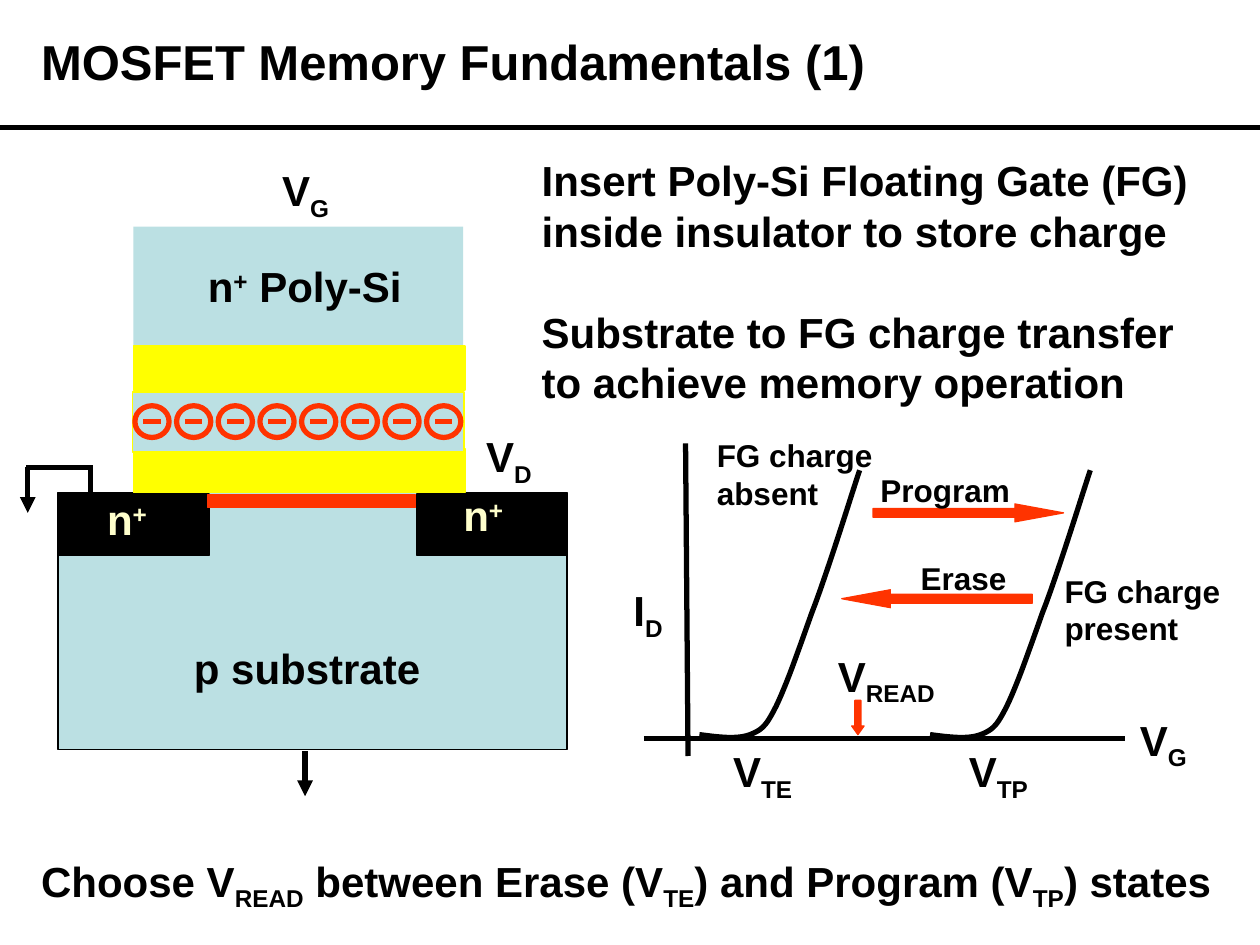
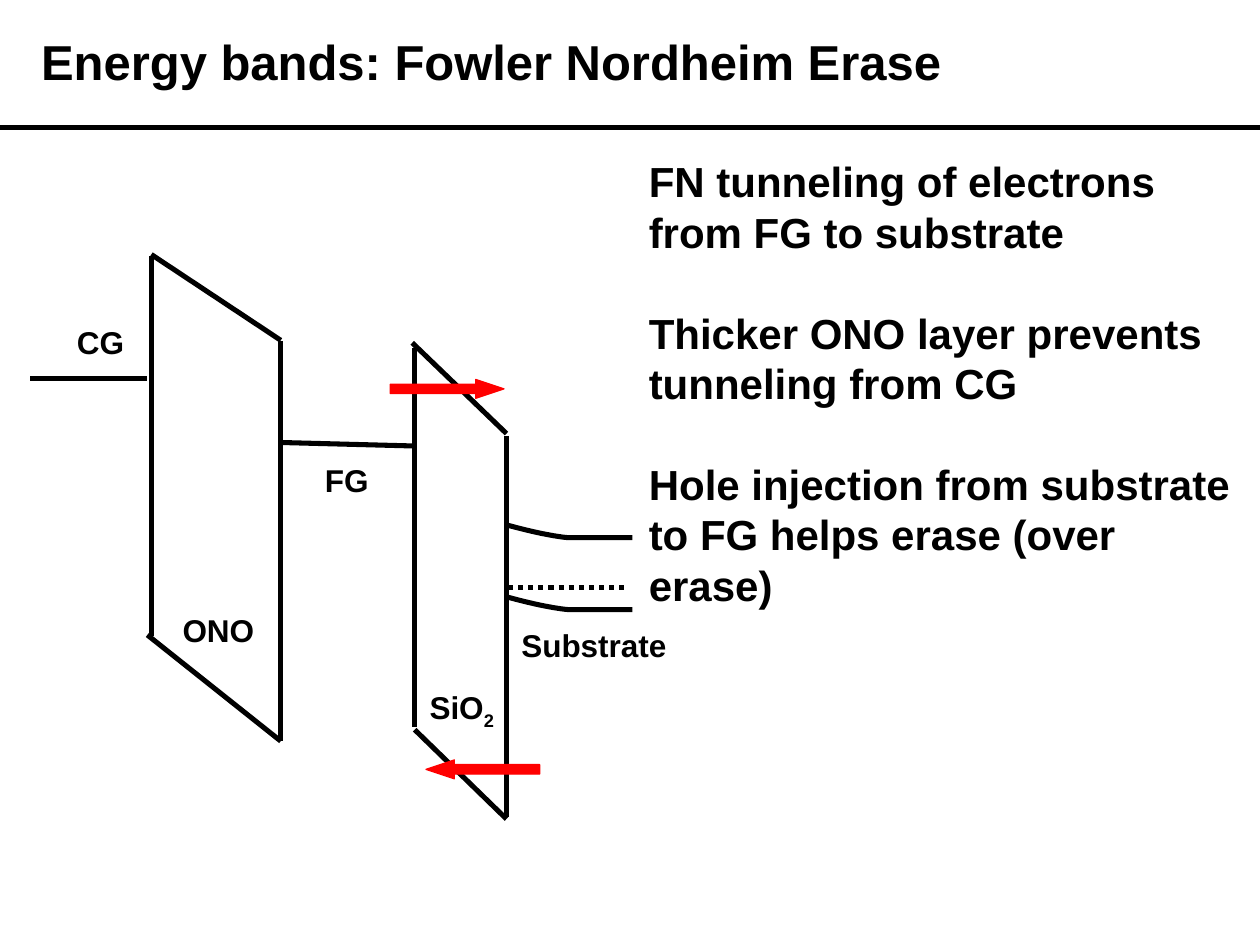
from dataclasses import dataclass

from pptx import Presentation
from pptx.dml.color import RGBColor
from pptx.enum.dml import MSO_LINE
from pptx.enum.shapes import MSO_CONNECTOR, MSO_SHAPE
from pptx.oxml.ns import qn
from pptx.util import Cm, Pt
from lxml import etree

RECT, OVAL = MSO_SHAPE.RECTANGLE, MSO_SHAPE.OVAL
RIGHT, LEFT, DOWN = MSO_SHAPE.RIGHT_ARROW, MSO_SHAPE.LEFT_ARROW, MSO_SHAPE.DOWN_ARROW
STRAIGHT, DOTTED = MSO_CONNECTOR.STRAIGHT, MSO_LINE.ROUND_DOT

FONT = "Arial"
BLACK = RGBColor(0x00, 0x00, 0x00)
SILICON = RGBColor(0xBB, 0xE0, 0xE3)
OXIDE = RGBColor(0xFF, 0xFF, 0x00)
CREAM = RGBColor(0xFF, 0xFF, 0xCC)
ORANGE = RGBColor(0xFF, 0x33, 0x00)
RED = RGBColor(0xFF, 0x00, 0x00)

SUPERSCRIPT, SUBSCRIPT = "30000", "-25000"
PARAGRAPH_GAP = 28.8
AXIS_WIDTH, BAND_WIDTH = 3, 2.89


# All positions and sizes below are in centimetres
@dataclass
class Label:
    """Text; parts between bars are lowered, or raised if they are a plus."""
    text: str
    left: float
    top: float
    width: float
    height: float = 1.42
    size: float = 24
    color: RGBColor = BLACK


@dataclass
class Block:
    left: float
    top: float
    width: float
    height: float
    fill: RGBColor | None
    line: RGBColor | None = None
    line_width: float = 1
    kind: MSO_SHAPE = RECT
    adjust: tuple[float, ...] = ()


@dataclass
class Line:
    x1: float
    y1: float
    x2: float
    y2: float
    width: float = AXIS_WIDTH
    color: RGBColor = BLACK
    arrow: bool = False
    dotted: bool = False


@dataclass
class Curve:
    """Cubic segments, each given by two handles and an end from the start."""
    left: float
    top: float
    segments: tuple
    width: float = AXIS_WIDTH


Item = Label | Block | Line | Curve


def draw_label(slide, label: Label) -> None:
    s = slide.shapes.add_textbox(Cm(label.left), Cm(label.top),
                                 Cm(label.width), Cm(label.height))
    tf = s.text_frame
    tf.word_wrap = True
    for i, text in enumerate(label.text.split("\n")):
        p = tf.add_paragraph() if i else tf.paragraphs[0]
        if i:
            p.space_before = Pt(PARAGRAPH_GAP)
        p.font.name, p.font.size, p.font.bold = FONT, Pt(label.size), True
        p.font.color.rgb = label.color
        for j, part in enumerate(text.split("|")):
            if not part:
                continue
            r = p.add_run()
            r.text = part
            if j % 2:
                shift = SUPERSCRIPT if part == "+" else SUBSCRIPT
                r._r.get_or_add_rPr().set("baseline", shift)


def draw_block(slide, block: Block) -> None:
    s = slide.shapes.add_shape(block.kind, Cm(block.left), Cm(block.top),
                               Cm(block.width), Cm(block.height))
    s.shadow.inherit = False
    for i, value in enumerate(block.adjust):
        s.adjustments[i] = value
    if block.fill is None:
        s.fill.background()
    else:
        s.fill.solid()
        s.fill.fore_color.rgb = block.fill
    if block.line is None:
        s.line.fill.background()
    else:
        s.line.color.rgb = block.line
        s.line.width = Pt(block.line_width)


def draw_line(slide, line: Line) -> None:
    s = slide.shapes.add_connector(STRAIGHT, Cm(line.x1), Cm(line.y1),
                                   Cm(line.x2), Cm(line.y2))
    s.line.color.rgb = line.color
    s.line.width = Pt(line.width)
    if line.dotted:
        s.line.dash_style = DOTTED
    if line.arrow:
        etree.SubElement(s.line._get_or_add_ln(), qn("a:tailEnd"), type="triangle")
    etree.SubElement(s._element.spPr, qn("a:effectLst"))


def draw_curve(slide, curve: Curve, steps: int = 12) -> None:
    points, start = [], (0, 0)
    for a, b, end in curve.segments:
        for t in (k / steps for k in range(1, steps + 1)):
            u = 1 - t
            x, y = (u**3 * p0 + 3 * u * u * t * p1 + 3 * u * t * t * p2 + t**3 * p3
                    for p0, p1, p2, p3 in zip(start, a, b, end))
            points.append((Cm(curve.left + x), Cm(curve.top + y)))
        start = end
    builder = slide.shapes.build_freeform(Cm(curve.left), Cm(curve.top))
    builder.add_line_segments(points, close=False)
    s = builder.convert_to_shape()
    s.shadow.inherit = False
    s.fill.background()
    s.line.color.rgb = BLACK
    s.line.width = Pt(curve.width)


DRAWERS = {Label: draw_label, Block: draw_block, Line: draw_line, Curve: draw_curve}


def add_slide(prs, title: str, items: list[Item]) -> None:
    slide = prs.slides.add_slide(prs.slide_layouts[6])
    header = [Line(0, 2.57, 25.4, 2.57),
              Label(title, 0.58, 0.51, 22.5, 1.45, size=28)]
    for item in header + items:
        DRAWERS[type(item)](slide, item)


def small(text: str, left: float, top: float, width: float,
          height: float = 1.02) -> Label:
    return Label(text, left, top, width, height, size=18)


def arrow(kind: MSO_SHAPE, left: float, top: float, width: float, height: float,
          color: RGBColor, head: float) -> Block:
    return Block(left, top, width, height, color, color, 0.75, kind, (0.5, head))


def electron(index: int) -> list[Item]:
    left, top, width, height = 2.72 + 0.84 * index, 8.18, 0.69, 0.64
    y = top + height / 2
    return [Block(left, top, width, height, None, ORANGE, 3, OVAL),
            Line(left + width / 4, y, left + width * 3 / 4, y, color=ORANGE)]


def memory_items() -> list[Item]:
    # Transistor cross-section
    device = [
        Block(1.17, 9.93, 10.26, 5.18, SILICON, BLACK),
        *(Block(x, 9.96, 3.02, 1.24, BLACK, BLACK) for x in (1.19, 8.41)),
        Block(2.69, 4.57, 6.65, 2.41, SILICON),
        *(Block(2.69, y, 6.68, 0.89, OXIDE, OXIDE) for y in (9.04, 6.98)),
        Block(4.19, 9.98, 4.19, 0.25, ORANGE, ORANGE, 0.75),
        Block(2.67, 7.9, 6.68, 1.22, SILICON, OXIDE),
    ]
    for i in range(8):
        device += electron(i)
    grounds = [
        Line(6.15, 15.14, 6.15, 16.05, arrow=True),
        Line(0.53, 9.42, 1.88, 9.42),
        *(Line(x, 9.42, x, 10.34, arrow=True) for x in (0.56, 1.83)),
    ]
    device_labels = [
        Label("V|G|", 5.44, 3.2, 2.11),
        Label("V|D|", 9.55, 8.56, 2.11),
        Label("n|+| Poly-Si", 3.94, 5.13, 4.5, 1.27),
        Label("p substrate", 3.66, 12.83, 5.97, 1.27),
        Label("n|+|", 1.91, 9.83, 2.57, 1.27, color=CREAM),
        Label("n|+|", 9.09, 9.75, 2.57, 1.27, color=CREAM),
    ]
    # Drain current against gate voltage
    turn_on = (
        ((0.38, 0.05), (0.76, 0.1), (1.02, 0)),
        ((1.27, -0.1), (1.35, -0.18), (1.55, -0.58)),
        ((1.75, -0.99), (1.98, -1.65), (2.26, -2.44)),
        ((2.57, -3.23), (3.07, -4.85), (3.23, -5.33)),
    )
    graph = [
        Line(13.82, 8.94, 13.87, 15.24),
        Line(12.98, 14.88, 22.68, 14.88),
        *(Curve(x, 14.81, turn_on) for x in (14.1, 18.75)),
        arrow(DOWN, 17.17, 14.12, 0.25, 0.69, ORANGE, 0.7),
        arrow(RIGHT, 17.6, 10.16, 3.84, 0.36, ORANGE, 2.72),
        arrow(LEFT, 16.97, 11.89, 3.84, 0.36, ORANGE, 2.72),
        Label("I|D|", 12.52, 11.66, 1.25),
        Label("V|G|", 22.73, 14.27, 2.11),
        Label("V|TE|", 14.53, 14.91, 2.11),
        Label("V|TP|", 19.28, 14.91, 2.11),
        Label("V|READ|", 16.64, 12.98, 3),
        small("FG charge absent", 14.2, 8.66, 3.94, 1.78),
        small("FG charge present", 21.21, 11.4, 3.81, 1.78),
        small("Program", 17.5, 9.37, 3.3),
        small("Erase", 18.31, 11.15, 2.4),
    ]
    # Statements
    statements = [
        Label("Insert Poly-Si Floating Gate (FG) inside insulator to store charge\n"
              "Substrate to FG charge transfer to achieve memory operation",
              10.67, 3, 14.12, 5.33),
        Label("Choose V|READ| between Erase (V|TE|) and Program (V|TP|) states",
              0.58, 17.12, 24.49),
    ]
    return device + grounds + device_labels + graph + statements


def band_items() -> list[Item]:
    # Barrier outlines and Fermi levels
    edges = [
        (3.05, 5.16, 3.05, 12.83), (5.66, 6.88, 5.66, 14.94),      # ONO sides
        (3.05, 5.13, 5.66, 6.86), (2.97, 12.8, 5.66, 14.94),       # ONO slopes
        (8.36, 7.01, 8.36, 14.66), (10.21, 8.79, 10.21, 16.46),    # oxide sides
        (8.31, 6.91, 10.21, 8.74), (8.36, 14.71, 10.21, 16.51),    # oxide slopes
        (0.61, 7.63, 2.97, 7.63), (5.66, 8.92, 8.33, 8.99),        # gate levels
    ]
    bending = (
        ((0.84, 0.23), (1.22, 0.25), (1.22, 0.25)),
        ((1.22, 0.25), (2.51, 0.25), (2.51, 0.25)),
    )
    return [
        *(Line(*edge, width=BAND_WIDTH) for edge in edges),
        Line(10.24, 11.84, 12.57, 11.84, BAND_WIDTH, dotted=True),
        *(Curve(10.24, y, bending, BAND_WIDTH) for y in (10.59, 12.04)),
        # Tunneling directions
        arrow(RIGHT, 7.87, 7.65, 2.29, 0.38, RED, 1.5),
        arrow(LEFT, 8.59, 15.32, 2.29, 0.38, RED, 1.5),
        # Regions
        small("CG", 1.3, 6.38, 1.65),
        small("FG", 6.3, 9.17, 1.6),
        small("ONO", 3.43, 12.19, 2.15),
        small("Substrate", 10.26, 12.5, 3.6),
        small("SiO|2|", 8.41, 13.74, 2, 1.12),
        # Statements
        Label("FN tunneling of electrons from FG to substrate\n"
              "Thicker ONO layer prevents tunneling from CG\n"
              "Hole injection from substrate to FG helps erase (over erase)",
              12.83, 3.02, 12.57, 9.4),
    ]


def main() -> None:
    prs = Presentation()
    prs.slide_width, prs.slide_height = Cm(25.4), Cm(19.05)
    add_slide(prs, "MOSFET Memory Fundamentals (1)", memory_items())
    add_slide(prs, "Energy bands: Fowler Nordheim Erase", band_items())
    prs.save("out.pptx")


if __name__ == "__main__":
    main()
